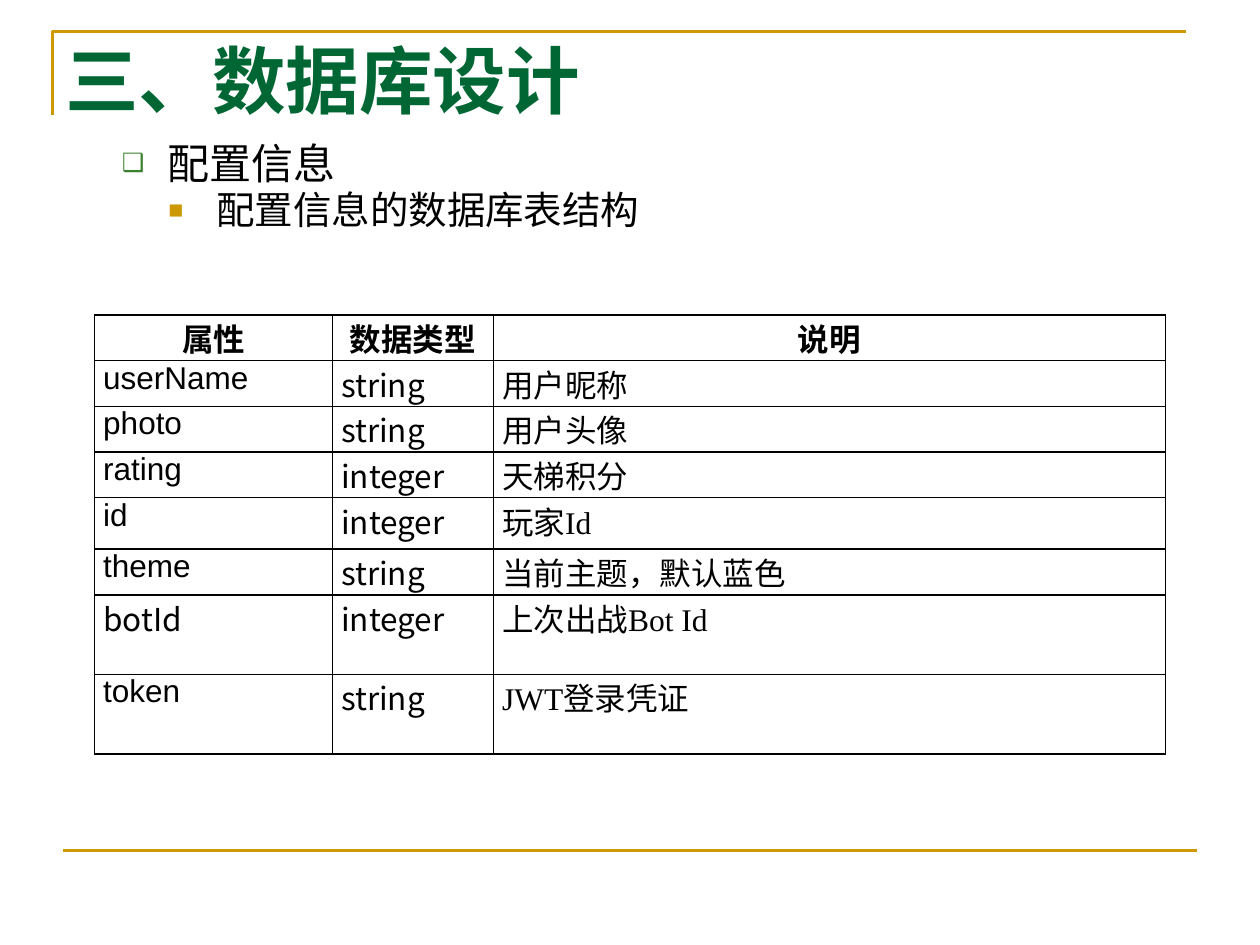
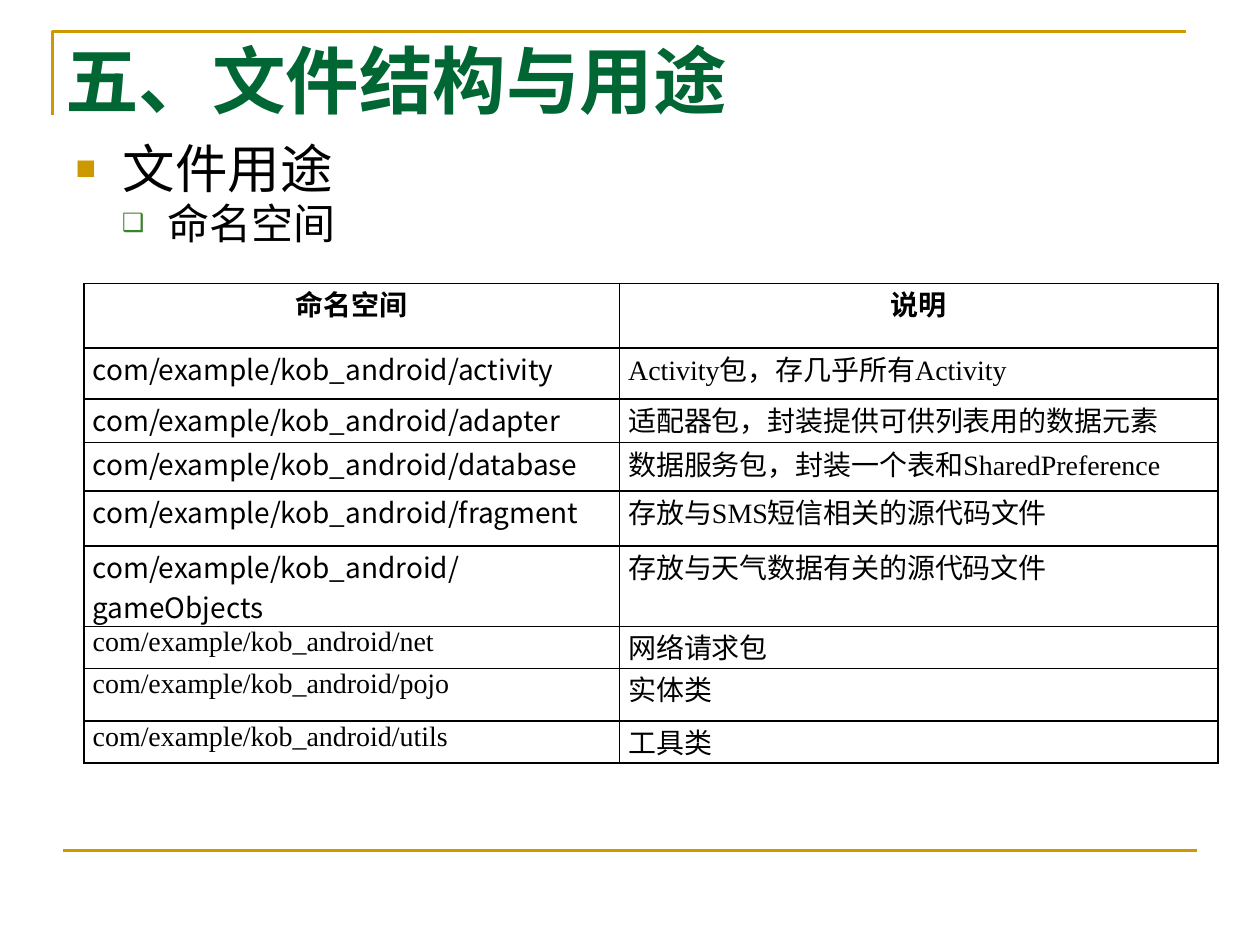
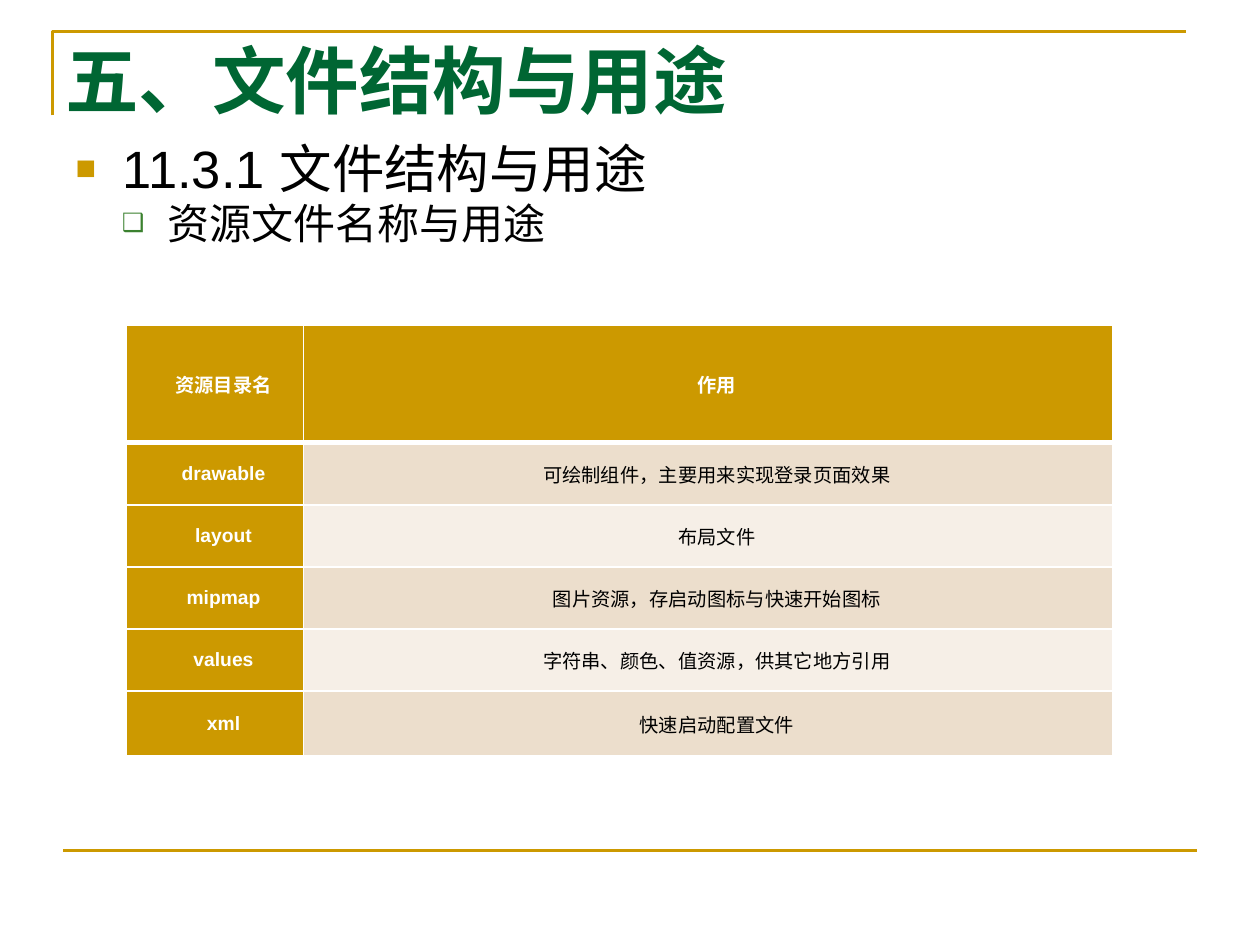
"""Build three slides on database design and file structure, each with one table."""
from dataclasses import dataclass, field
from typing import Any

import pptx
import pptx.dml.color
import pptx.enum.text
import pptx.oxml
import pptx.oxml.ns
import pptx.util

Pt = pptx.util.Pt
Align = pptx.enum.text.PP_ALIGN
Anchor = pptx.enum.text.MSO_ANCHOR

GOLD, DARK_GREEN, LEAF_GREEN = "CC9900", "006633", "3B812F"
BLACK, WHITE = "000000", "FFFFFF"
BANDS = ("ECDECC", "F6EFE7")
SANS, CHINESE, SERIF = "Arial", "Noto Sans CJK SC", "Times New Roman"


@dataclass(frozen=True)
class TextStyle:
    font: str
    size: float
    color: str = BLACK
    bold: bool = False


@dataclass(frozen=True)
class BulletLevel:
    size: float
    left: float
    hanging: float
    symbol: str
    color: str
    percent: int


@dataclass(frozen=True)
class Column:
    width: float
    font: str


@dataclass(frozen=True)
class TableSpec:
    left: float
    top: float
    columns: tuple[Column, ...]
    row_heights: tuple[float, ...]
    rows: tuple[tuple[str, ...], ...]
    size: float
    filled: bool = False
    special_fonts: dict[str, str] = field(default_factory=dict)


@dataclass(frozen=True)
class SlideSpec:
    title: str
    title_width: float
    bullets: tuple[tuple[int, str], ...]
    table: TableSpec


LEVELS = (
    BulletLevel(30, 27, 27, "■", GOLD, 65),
    BulletLevel(24, 52.5, 26, "❑", LEAF_GREEN, 60),
    BulletLevel(22, 80.5, 27.5, "■", GOLD, 65),
)
PACKAGE = "com/example/kob_android/"

SLIDES = (
    SlideSpec(
        "三、数据库设计", 522,
        ((1, "配置信息"), (2, "配置信息的数据库表结构")),
        TableSpec(
            54, 180,
            (Column(136, SANS), Column(92, CHINESE), Column(384, SERIF)),
            (22.5, 22.5, 22.5, 22.5, 29.5, 22.5, 45.5, 45.5),
            (
                ("属性", "数据类型", "说明"),
                ("userName", "string", "用户昵称"),
                ("photo", "string", "用户头像"),
                ("rating", "integer", "天梯积分"),
                ("id", "integer", "玩家Id"),
                ("theme", "string", "当前主题，默认蓝色"),
                ("botId", "integer", "上次出战Bot Id"),
                ("token", "string", "JWT登录凭证"),
            ),
            18,
            special_fonts={"botId": CHINESE},
        ),
    ),
    SlideSpec(
        "五、文件结构与用途", 438,
        ((0, "文件用途"), (1, "命名空间")),
        TableSpec(
            48, 162,
            (Column(306, CHINESE), Column(342, SERIF)),
            (37, 29, 25, 27.5, 31.5, 30, 24, 30, 24),
            (
                ("命名空间", "说明"),
                (PACKAGE + "activity", "Activity包，存几乎所有Activity"),
                (PACKAGE + "adapter", "适配器包，封装提供可供列表用的数据元素"),
                (PACKAGE + "database", "数据服务包，封装一个表和SharedPreference"),
                (PACKAGE + "fragment", "存放与SMS短信相关的源代码文件"),
                (PACKAGE + "gameObjects", "存放与天气数据有关的源代码文件"),
                (PACKAGE + "net", "网络请求包"),
                (PACKAGE + "pojo", "实体类"),
                (PACKAGE + "utils", "工具类"),
            ),
            16,
            special_fonts={PACKAGE + name: SERIF for name in ("net", "pojo", "utils")},
        ),
    ),
    SlideSpec(
        "五、文件结构与用途", 402,
        ((0, "11.3.1 文件结构与用途"), (1, "资源文件名称与用途")),
        TableSpec(
            72, 186,
            (Column(101.5, SANS), Column(462.5, SANS)),
            (67, 35.5, 35.5, 35.5, 35.5, 37),
            (
                ("资源目录名", "作用"),
                ("drawable", "可绘制组件，主要用来实现登录页面效果"),
                ("layout", "布局文件"),
                ("mipmap", "图片资源，存启动图标与快速开始图标"),
                ("values", "字符串、颜色、值资源，供其它地方引用"),
                ("xml", "快速启动配置文件"),
            ),
            11,
            filled=True,
        ),
    ),
)


def rgb(color: str) -> pptx.dml.color.RGBColor:
    return pptx.dml.color.RGBColor.from_string(color)


def add_element(parent: Any, xml: str) -> None:
    tag, rest = xml[1:].split(" ", 1)
    namespace = pptx.oxml.ns.nsdecls("a")
    parent.append(pptx.oxml.parse_xml(f"<{tag} {namespace} {rest}"))


def style_paragraph(paragraph: Any, style: TextStyle) -> None:
    font = paragraph.font
    font.name, font.size, font.bold = style.font, Pt(style.size), style.bold
    font.color.rgb = rgb(style.color)
    defaults = paragraph._p.get_or_add_pPr().find(pptx.oxml.ns.qn("a:defRPr"))
    add_element(defaults, f'<a:ea typeface="{CHINESE}"/>')


def place(shape: Any, left: float, top: float, width: float, height: float) -> None:
    shape.left, shape.top, shape.width, shape.height = map(Pt, (left, top, width, height))


def add_frame(slide: Any) -> None:
    builder = slide.shapes.build_freeform(Pt(30), Pt(66))
    builder.add_line_segments([(Pt(30), Pt(18)), (Pt(678), Pt(18))], close=False)
    corner = builder.convert_to_shape()
    corner.fill.background()
    corner.shadow.inherit = False
    footer_line = slide.shapes.add_connector(
        pptx.enum.shapes.MSO_CONNECTOR.STRAIGHT, Pt(36), Pt(486), Pt(684), Pt(486))
    add_element(footer_line._element.spPr, "<a:effectLst />")
    for shape in (corner, footer_line):
        shape.line.color.rgb = rgb(GOLD)
        shape.line.width = Pt(1.5)


def fill_title(title: Any, text: str, width: float) -> None:
    place(title, 30, 18, width, 54)
    frame = title.text_frame
    frame.text = text
    frame.auto_size = pptx.enum.text.MSO_AUTO_SIZE.NONE
    frame.vertical_anchor = Anchor.MIDDLE
    paragraph = frame.paragraphs[0]
    paragraph.alignment = Align.LEFT
    style_paragraph(paragraph, TextStyle(SERIF, 42, DARK_GREEN, True))


def fill_bullets(body: Any, bullets: tuple[tuple[int, str], ...]) -> None:
    place(body, 36, 78, 648, 408)
    frame = body.text_frame
    frame.text = "\n".join(text for _, text in bullets)
    frame.auto_size = pptx.enum.text.MSO_AUTO_SIZE.NONE
    for index, (paragraph, (depth, _)) in enumerate(zip(frame.paragraphs, bullets)):
        level = LEVELS[depth]
        paragraph.level = depth
        paragraph.line_spacing = 0.9
        paragraph.space_before = Pt(2 if index else 0)
        properties = paragraph._p.get_or_add_pPr()
        properties.set("marL", str(Pt(level.left)))
        properties.set("indent", str(-Pt(level.hanging)))
        add_element(properties, f'<a:buClr ><a:srgbClr val="{level.color}"/></a:buClr>')
        add_element(properties, f'<a:buSzPct val="{level.percent * 1000}"/>')
        add_element(properties, f'<a:buFont typeface="{SANS}"/>')
        add_element(properties, f'<a:buChar char="{level.symbol}"/>')
        style_paragraph(paragraph, TextStyle(SANS, level.size))


def set_borders(cell: Any, color: str, top: float, bottom: float) -> None:
    properties = cell._tc.get_or_add_tcPr()
    for side, width in (("L", 1), ("R", 1), ("T", top), ("B", bottom)):
        add_element(properties, f'<a:ln{side} w="{Pt(width)}"><a:solidFill>'
                                f'<a:srgbClr val="{color}"/></a:solidFill></a:ln{side}>')


def format_cell(cell: Any, spec: TableSpec, row: int, column: int) -> None:
    text = spec.rows[row][column]
    header = row == 0
    cell.text = text
    cell.margin_left = cell.margin_right = Pt(5)
    cell.margin_top = cell.margin_bottom = Pt(0)
    paragraph = cell.text_frame.paragraphs[0]
    paragraph.alignment = Align.CENTER if header or spec.filled else Align.JUSTIFY
    if spec.filled:
        emphasized = header or column == 0
        set_borders(cell, WHITE, 3 if row == 1 else 1, 3 if header else 1)
        cell.fill.solid()
        cell.fill.fore_color.rgb = rgb(GOLD if emphasized else BANDS[(row - 1) % 2])
        cell.vertical_anchor = Anchor.MIDDLE
        paragraph._p.get_or_add_pPr().set("indent", str(Pt(10)))
        style = TextStyle(SANS, spec.size, WHITE if emphasized else BLACK, emphasized)
    else:
        set_borders(cell, BLACK, 1, 1)
        cell.fill.background()
        font = SERIF if header else spec.special_fonts.get(text, spec.columns[column].font)
        style = TextStyle(font, spec.size, BLACK, header)
    style_paragraph(paragraph, style)


def add_table(slide: Any, spec: TableSpec) -> None:
    width = sum(column.width for column in spec.columns)
    table = slide.shapes.add_table(
        len(spec.rows), len(spec.columns), Pt(spec.left), Pt(spec.top),
        Pt(width), Pt(sum(spec.row_heights))).table
    table.first_row = table.horz_banding = False
    for column, column_spec in zip(table.columns, spec.columns):
        column.width = Pt(column_spec.width)
    for row_index, (row, height) in enumerate(zip(table.rows, spec.row_heights)):
        row.height = Pt(height)
        for column_index, cell in enumerate(row.cells):
            format_cell(cell, spec, row_index, column_index)


def main() -> None:
    presentation = pptx.Presentation()
    presentation.slide_width, presentation.slide_height = Pt(720), Pt(540)
    for spec in SLIDES:
        slide = presentation.slides.add_slide(presentation.slide_layouts[1])
        add_frame(slide)
        fill_title(slide.shapes.title, spec.title, spec.title_width)
        fill_bullets(slide.placeholders[1], spec.bullets)
        add_table(slide, spec.table)
    presentation.save("out.pptx")


if __name__ == "__main__":
    main()
